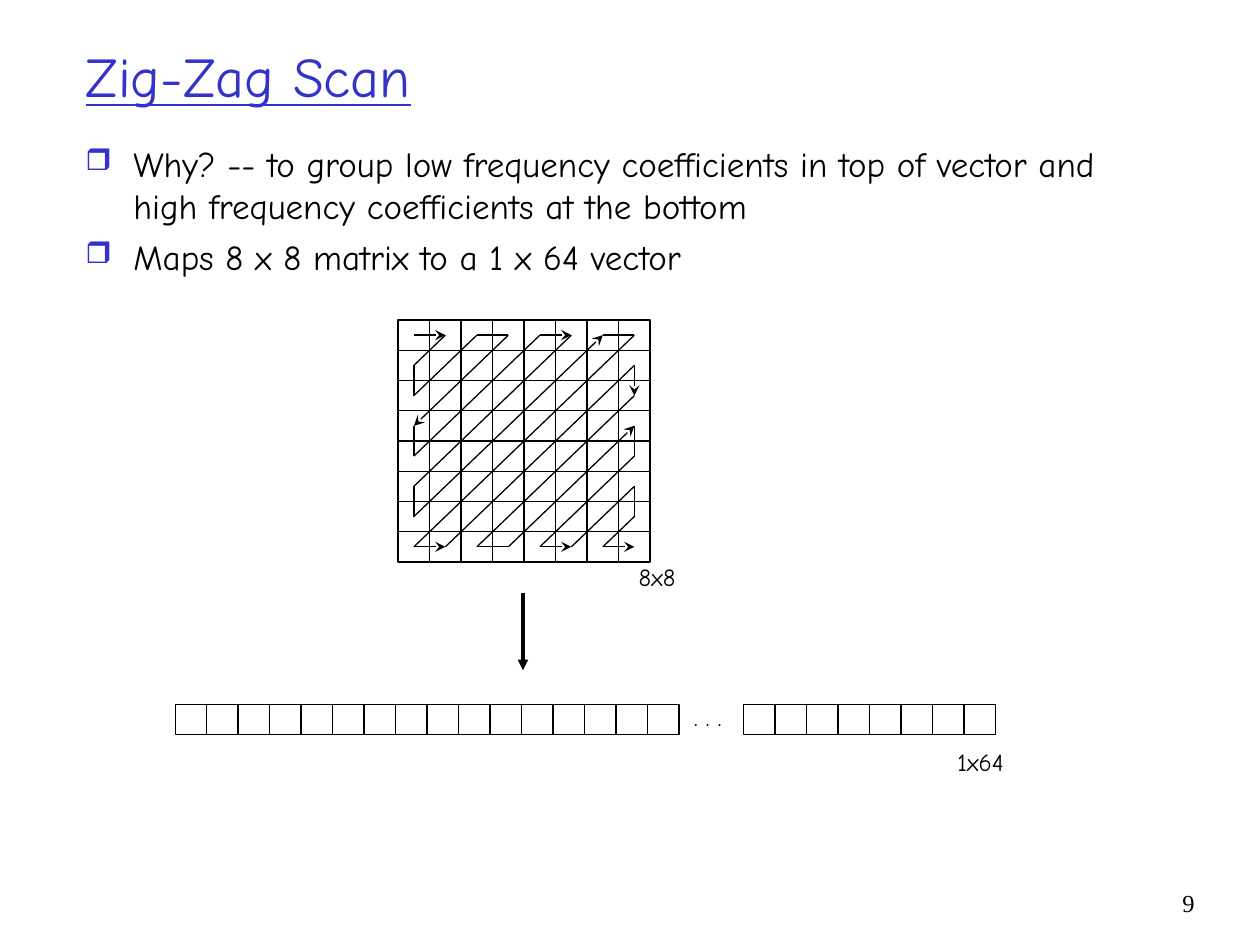
from itertools import pairwise

from lxml.etree import SubElement
from pptx import Presentation
from pptx.dml.color import RGBColor
from pptx.enum.shapes import MSO_CONNECTOR, MSO_SHAPE
from pptx.enum.text import MSO_ANCHOR, MSO_AUTO_SIZE, PP_ALIGN
from pptx.oxml.ns import qn
from pptx.util import Inches, Pt

BLUE = RGBColor(0x33, 0x33, 0xCC)
BLACK = RGBColor(0, 0, 0)
MAIN_FONT = "Comic Neue"

TITLE = "Zig-Zag Scan"
BULLETS = [
    "Why? -- to group low frequency coefficients in top of vector and "
    "high frequency coefficients at the bottom",
    "Maps 8 x 8 matrix to a 1 x 64 vector",
]
LABELS = [
    ("8x8", (4.97, 4.41, 0.49, 0.34)),
    (". . .", (5.41, 5.52, 0.42, 0.34)),
    ("1x64", (7.5, 5.88, 0.57, 0.34)),
]
SIZE = 8
CELL_WIDTH, CELL_HEIGHT = 0.25, 0.24
MATRIX_LEFT, MATRIX_TOP = 3.16, 2.54
BLOCKS = [
    (MATRIX_LEFT, MATRIX_TOP, SIZE, SIZE),
    (1.39, 5.59, 16, 1),
    (5.9, 5.59, 8, 1),
]
ARROW_STEPS = {0, 5, 8, 11, 14, 16, 19, 22, 26}

TITLE_FORMAT = {"name": MAIN_FONT, "size": Pt(32), "underline": True, "bold": False}
BULLET_FORMAT = {"name": MAIN_FONT, "size": Pt(20)}
LABEL_FORMAT = {"name": MAIN_FONT, "size": Pt(14)}
NUMBER_FORMAT = {"name": "Times New Roman", "size": Pt(14)}


def format_font(font, values, color=BLACK):
    for name, value in values.items():
        setattr(font, name, value)
    font.color.rgb = color


def add_text(slide, box, lines, font_values, wrap=True):
    shape = slide.shapes.add_textbox(*map(Inches, box))
    frame = shape.text_frame
    frame.word_wrap = wrap
    frame.auto_size = MSO_AUTO_SIZE.NONE if wrap else MSO_AUTO_SIZE.SHAPE_TO_FIT_TEXT
    frame.text = "\n".join(lines)
    for paragraph in frame.paragraphs:
        format_font(paragraph.runs[0].font, font_values)
    return frame.paragraphs


def add_bullet(paragraph):
    paragraph.space_before = Pt(5)
    properties = paragraph._p.get_or_add_pPr()
    properties.set("marL", str(Inches(0.38)))
    properties.set("indent", str(Inches(-0.38)))
    color = SubElement(properties, qn("a:buClr"))
    SubElement(color, qn("a:srgbClr"), val=str(BLUE))
    SubElement(properties, qn("a:buSzPct"), val="85000")
    SubElement(properties, qn("a:buChar"), char="❒")


def add_block(slide, left, top, columns, rows):
    for row in range(rows):
        for column in range(columns):
            cell = slide.shapes.add_shape(
                MSO_SHAPE.RECTANGLE,
                Inches(left + column * CELL_WIDTH), Inches(top + row * CELL_HEIGHT),
                Inches(CELL_WIDTH), Inches(CELL_HEIGHT),
            )
            cell.shadow.inherit = False
            cell.fill.background()
            cell.line.color.rgb = BLACK
            cell.line.width = Pt(0.75)


def add_line(slide, start, end, width=0.75, arrow=None):
    connector = slide.shapes.add_connector(
        MSO_CONNECTOR.STRAIGHT, *map(Inches, (*start, *end))
    )
    connector.line.color.rgb = BLACK
    connector.line.width = Pt(width)
    if arrow:
        SubElement(connector.line._get_or_add_ln(), qn("a:tailEnd"), type=arrow)
    SubElement(connector._element.spPr, qn("a:effectLst"))


def zigzag_corners():
    corners = []
    for diagonal in range(2 * SIZE - 1):
        low, high = max(0, diagonal - SIZE + 1), min(diagonal, SIZE - 1)
        ends = [(low, high), (high, low)] if low < high else [(low, high)]
        corners += reversed(ends) if diagonal % 2 else ends
    return corners


def cell_center(column, row):
    return (MATRIX_LEFT + (column + 0.5) * CELL_WIDTH,
            MATRIX_TOP + (row + 0.5) * CELL_HEIGHT)


def main():
    presentation = Presentation()
    presentation.slide_width, presentation.slide_height = Inches(10), Inches(7.5)
    slide = presentation.slides.add_slide(presentation.slide_layouts[5])

    title = slide.shapes.title
    for name, value in zip(("left", "top", "width", "height"), (0.58, 0.25, 8.5, 0.7)):
        setattr(title, name, Inches(value))
    title.text_frame.text = TITLE
    title.text_frame.auto_size = MSO_AUTO_SIZE.NONE
    title.text_frame.vertical_anchor = MSO_ANCHOR.MIDDLE
    paragraph = title.text_frame.paragraphs[0]
    paragraph.alignment = PP_ALIGN.LEFT
    format_font(paragraph.runs[0].font, TITLE_FORMAT, BLUE)

    for paragraph in add_text(slide, (0.58, 1.08, 8.71, 1.31), BULLETS, BULLET_FORMAT):
        add_bullet(paragraph)

    for block in BLOCKS:
        add_block(slide, *block)
    for step, (start, end) in enumerate(pairwise(zigzag_corners())):
        arrow = "stealth" if step in ARROW_STEPS else None
        add_line(slide, cell_center(*start), cell_center(*end), arrow=arrow)
    add_line(slide, (4.15, 4.71), (4.15, 5.32), 2, "triangle")

    for text, box in LABELS:
        add_text(slide, box, [text], LABEL_FORMAT, wrap=False)
    number = add_text(slide, (9.08, 7, 0.5, 0.5), ["9"], NUMBER_FORMAT)
    number[0].alignment = PP_ALIGN.RIGHT

    presentation.save("out.pptx")


if __name__ == "__main__":
    main()
